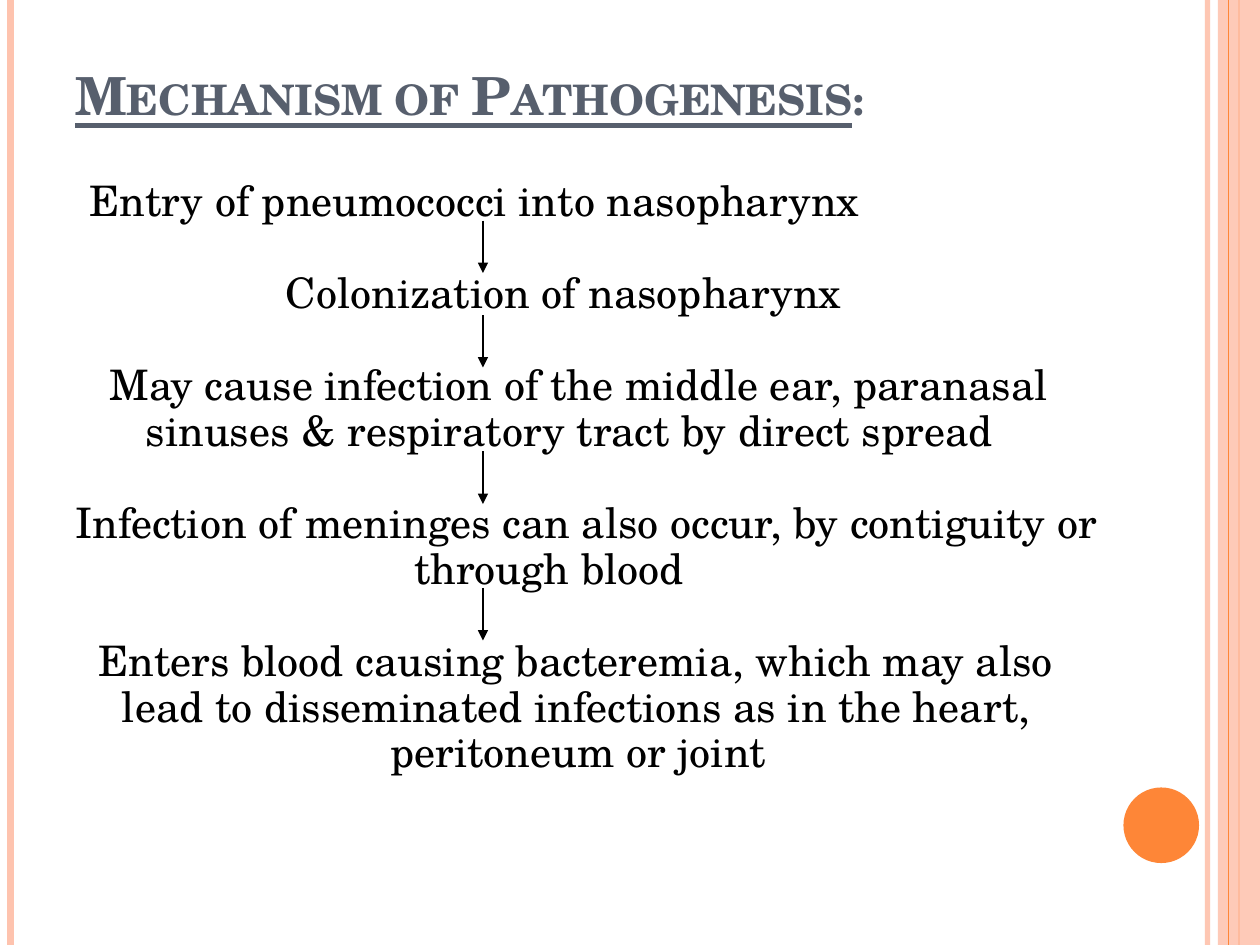
from lxml.etree import SubElement as Sub
from pptx import Presentation
from pptx.dml.color import RGBColor as Rgb
from pptx.enum.shapes import MSO_CONNECTOR as Link, MSO_SHAPE as Kind
from pptx.enum.text import MSO_ANCHOR as Anchor
from pptx.oxml.ns import qn
from pptx.util import Inches, Pt

THEME = {
    "pale": Rgb.from_string("FEC3AE"),
    "orange": Rgb.from_string("FE8637"),
    "slate": Rgb.from_string("575F6D"),
    "black": Rgb.from_string("000000"),
    "face": "TeX Gyre Schola",
    "head": Pt(30),
    "body": Pt(24),
}
UNIT = Inches(1) // 12  # the slide is a grid of 120 columns by 90 rows
COLS, ROWS = 120, 90

deck = Presentation()
deck.slide_width, deck.slide_height = COLS * UNIT, ROWS * UNIT
slide = deck.slides.add_slide(deck.slide_layouts[6])
shapes = slide.shapes


def grid(*cells):
    return [round(cell * UNIT) for cell in cells]


def rule(ends, color, width, alpha=100):
    """Draw a straight line between grid points and return its a:ln element."""
    line = shapes.add_connector(Link.STRAIGHT, *grid(*ends))
    line.line.color.rgb, line.line.width = THEME[color], Pt(width)
    props = line._element.spPr
    ln = props.find(qn("a:ln"))
    if alpha < 100:
        Sub(ln.find(".//" + qn("a:srgbClr")), qn("a:alpha"), val=str(alpha * 1000))
    Sub(props, qn("a:effectLst"))
    return ln


# Side bands and dot, from back to front
for col, color, width, alpha in [
    (115, "pale", 3, 93),
    (1, "pale", 4.5, 100),
    (118, "orange", 1.5, 100),
]:
    rule((col, 0, col, ROWS), color, width, alpha)

for kind, area, color, alpha in [
    (Kind.RECTANGLE, (116, 0, 4, ROWS), "pale", 87),
    (Kind.OVAL, (107, 75, 7.2, 7.2), "orange", 100),
]:
    if kind == Kind.OVAL:
        rule((117, 0, 117, ROWS), "orange", 0.75)
    shape = shapes.add_shape(kind, *grid(*area))
    shape.shadow.inherit = False
    shape.fill.solid()
    shape.fill.fore_color.rgb = THEME[color]
    shape.line.fill.background()
    if alpha < 100:
        tint = shape._element.spPr.find(".//" + qn("a:srgbClr"))
        Sub(tint, qn("a:alpha"), val=str(alpha * 1000))

# Title
frame = shapes.add_textbox(*grid(6, 3.6, 98, 15)).text_frame
frame.word_wrap = True
frame.vertical_anchor = Anchor.BOTTOM
frame.margin_bottom = Inches(0.55)
for text, under in [("Mechanism of Pathogenesis", True), (":", False)]:
    run = frame.paragraphs[0].add_run()
    run.text = text
    run.font.color.rgb = THEME["slate"]
    style = {"name": THEME["face"], "size": THEME["head"], "bold": True, "underline": under}
    for key, value in style.items():
        setattr(run.font, key, value)
    run.font._element.set("cap", "small")

# Steps: each line has its own indent in inches
STEPS = [
    [(0.11, "Entry of pneumococci into nasopharynx")],
    [(1.67, "Colonization of nasopharynx")],
    [
        (0.27, "May cause infection of the middle ear, paranasal"),
        (0.56, "sinuses & respiratory tract by direct spread"),
    ],
    [
        (0, "Infection of meninges can also occur, by contiguity or"),
        (2.69, "through blood"),
    ],
    [
        (0.18, "Enters blood causing bacteremia, which may also"),
        (0.37, "lead to disseminated infections as in the heart,"),
        (2.5, "peritoneum or joint"),
    ],
]
NEAR, FAR = Pt(6), Pt(32.4)  # space within a step and between steps

frame = shapes.add_textbox(*grid(6, 17, 108, 63.36)).text_frame
frame.word_wrap = True
frame.margin_top = Inches(0.08)
for step, lines in enumerate(STEPS):
    for row, (indent, text) in enumerate(lines):
        first = step == row == 0
        para = frame.paragraphs[0] if first else frame.add_paragraph()
        para._p.get_or_add_pPr().set("marL", str(Inches(indent)))
        para.line_spacing = 0.7
        para.space_before = Pt(0) if first else NEAR if row else FAR
        run = para.add_run()
        run.text = text
        run.font.name, run.font.size = THEME["face"], THEME["body"]
        run.font.color.rgb = THEME["black"]

# Arrows between the steps
for top in (21, 30, 43, 56):
    ln = rule((46, top, 46, top + 5), "black", 0.75)
    Sub(ln, qn("a:tailEnd"), type="triangle")

deck.save("out.pptx")
